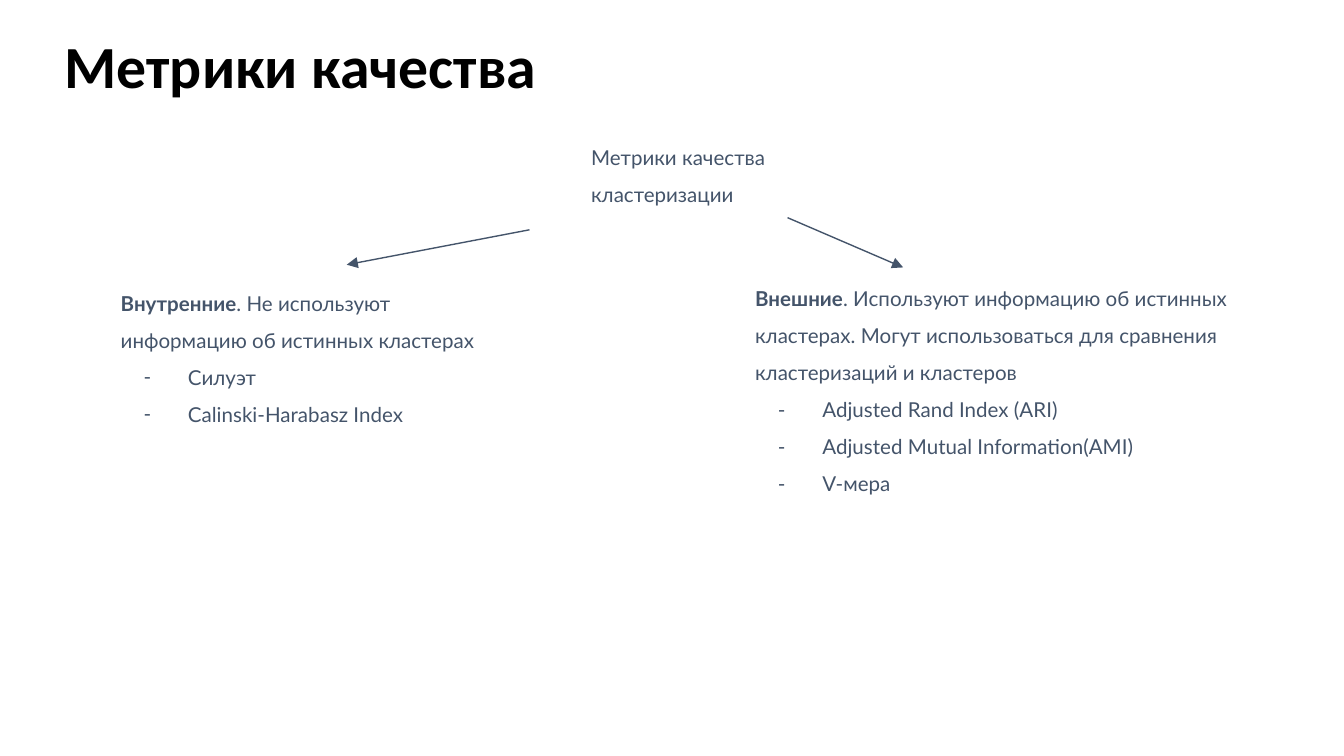
from dataclasses import dataclass

from lxml import etree
from pptx import Presentation
from pptx.dml.color import RGBColor
from pptx.enum.shapes import MSO_CONNECTOR
from pptx.enum.text import MSO_ANCHOR, MSO_AUTO_SIZE, PP_ALIGN
from pptx.oxml.ns import qn
from pptx.util import Inches, Pt

SLATE = RGBColor(0x44, 0x54, 0x6A)
BLACK = RGBColor(0, 0, 0)
STRAIGHT = MSO_CONNECTOR.STRAIGHT
LEFT = PP_ALIGN.LEFT
TOP, BOTTOM = MSO_ANCHOR.TOP, MSO_ANCHOR.BOTTOM
NO_FIT = MSO_AUTO_SIZE.NONE


@dataclass
class Block:
    box: tuple[float, float, float, float]
    term: str
    text: str
    items: tuple[str, ...] = ()


@dataclass
class Arrow:
    start: tuple[float, float]
    end: tuple[float, float]


BLOCKS = [
    Block((4.3, 0.89, 2.53, 0.39), "", "Метрики качества кластеризации"),
    Block((0.8, 1.97, 3.04, 1.45), "Внутренние",
          ". Не используют информацию об истинных кластерах",
          ("Силуэт", "Calinski-Harabasz Index")),
    Block((5.52, 1.94, 3.82, 1.96), "Внешние",
          ". Используют информацию об истинных кластерах. Могут "
          "использоваться для сравнения кластеризаций и кластеров",
          ("Adjusted Rand Index (ARI)", "Adjusted Mutual Information(AMI)",
           "V-мера")),
]
ARROWS = [
    Arrow((3.94, 1.71), (2.58, 1.97)),
    Arrow((5.86, 1.62), (6.72, 1.99)),
]


def set_frame(frame, anchor: MSO_ANCHOR) -> None:
    frame.word_wrap = True
    frame.auto_size = NO_FIT
    frame.vertical_anchor = anchor
    frame.margin_left = frame.margin_right = Inches(0.1)
    frame.margin_top = frame.margin_bottom = Inches(0.1)


def add_run(para, text: str, bold: bool = False, size: float = 11,
            face: str = "Lato", color: RGBColor = SLATE) -> None:
    run = para.add_run()
    run.text = text
    font = run.font
    font.name, font.size, font.bold = face, Pt(size), bold
    font.color.rgb = color


def add_dash(para) -> None:
    """Give the paragraph a hanging dash as its bullet."""
    props = para._p.get_or_add_pPr()
    props.set("marL", str(Inches(0.5)))
    props.set("indent", str(Inches(-0.33)))
    tint = etree.SubElement(props, qn("a:buClr"))
    etree.SubElement(tint, qn("a:srgbClr"), val=str(SLATE))
    etree.SubElement(props, qn("a:buFont"), typeface="Lato")
    etree.SubElement(props, qn("a:buChar"), char="-")


def add_block(slide, block: Block) -> None:
    shape = slide.shapes.add_textbox(*map(Inches, block.box))
    frame = shape.text_frame
    set_frame(frame, TOP)
    para = frame.paragraphs[0]
    para.line_spacing = 1.5
    if block.term:
        add_run(para, block.term, bold=True)
    add_run(para, block.text)
    for item in block.items:
        para = frame.add_paragraph()
        para.line_spacing = 1.5
        add_dash(para)
        add_run(para, item)


def add_arrow(slide, arrow: Arrow) -> None:
    ends = map(Inches, arrow.start + arrow.end)
    link = slide.shapes.add_connector(STRAIGHT, *ends)
    link.line.color.rgb = SLATE
    link.line.width = Pt(0.75)
    etree.SubElement(link.line._get_or_add_ln(), qn("a:tailEnd"),
                     type="triangle")
    etree.SubElement(link._element.spPr, qn("a:effectLst"))


def set_title(slide, text: str) -> None:
    title = slide.shapes.title
    title.left, title.top = Inches(0.38), Inches(0.12)
    title.width, title.height = Inches(9.06), Inches(0.73)
    set_frame(title.text_frame, BOTTOM)
    para = title.text_frame.paragraphs[0]
    para.alignment = LEFT
    add_run(para, text, True, 32, "Calibri", BLACK)


def main() -> None:
    deck = Presentation()
    deck.slide_width = Inches(10)
    deck.slide_height = deck.slide_width * 9 // 16
    slide = deck.slides.add_slide(deck.slide_layouts[5])
    set_title(slide, "Метрики качества")
    for block in BLOCKS:
        add_block(slide, block)
    for arrow in ARROWS:
        add_arrow(slide, arrow)
    deck.save("out.pptx")


if __name__ == "__main__":
    main()
